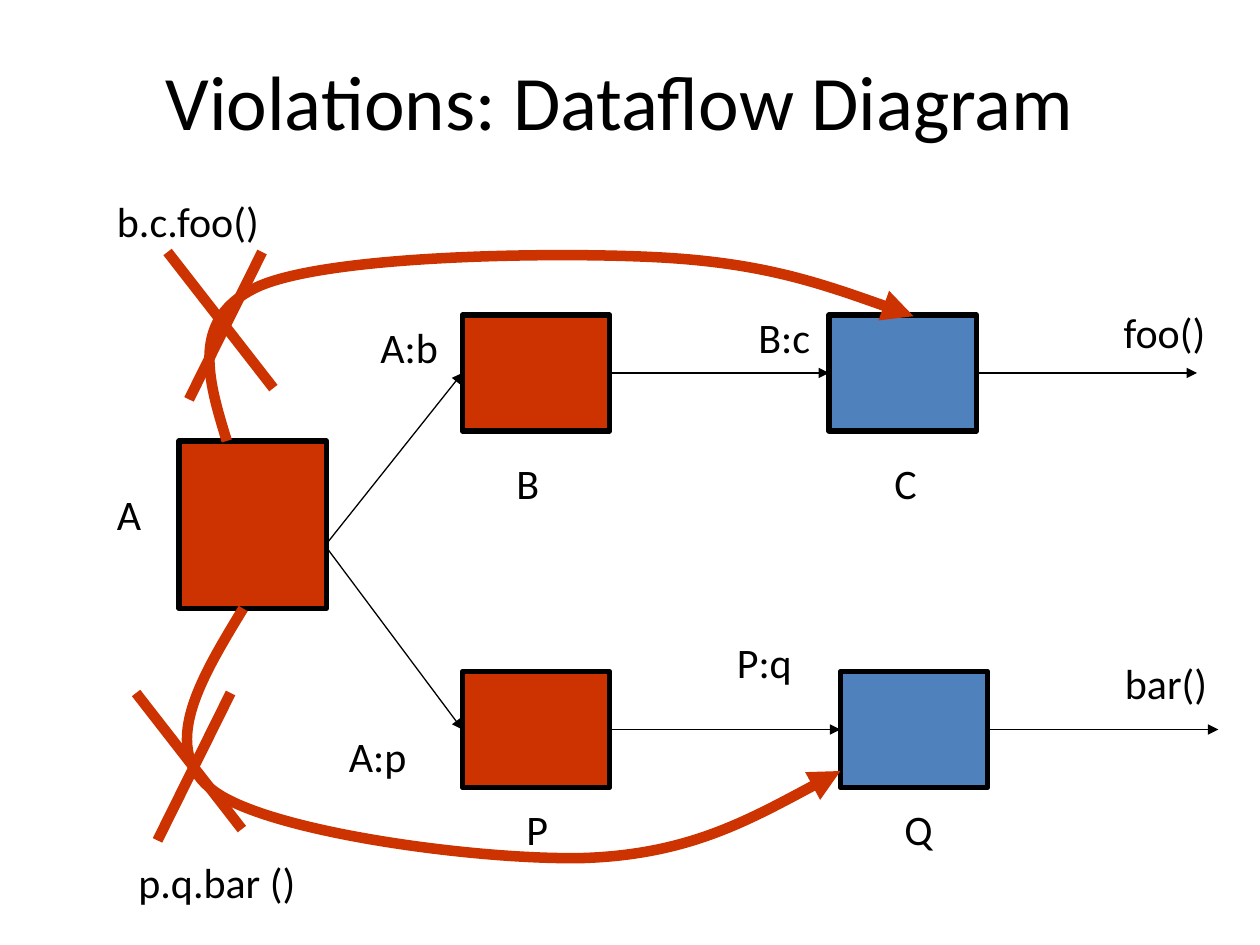
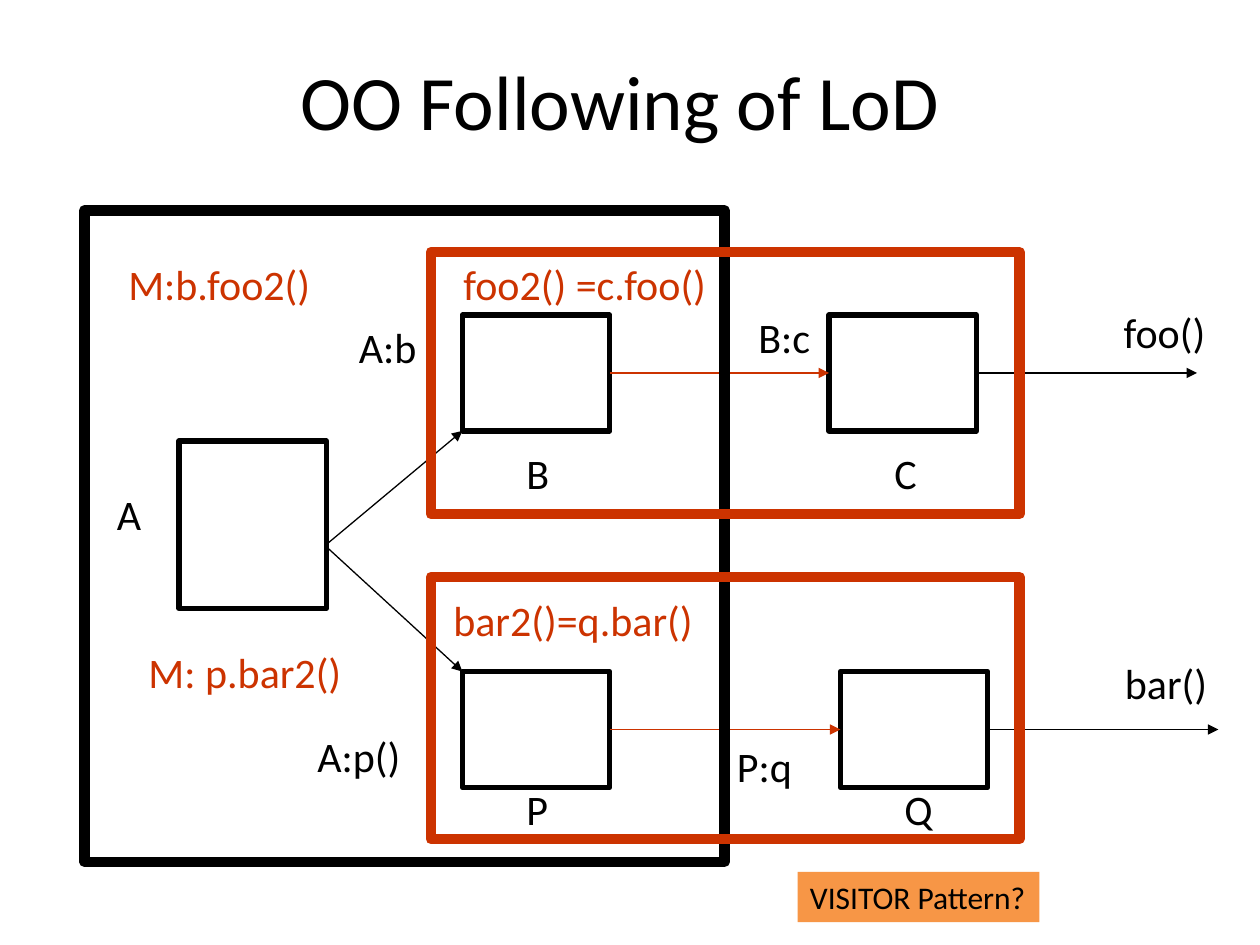
from dataclasses import dataclass
from typing import Optional

import pptx
import pptx.dml.color
import pptx.enum.shapes
import pptx.enum.text
import pptx.oxml
import pptx.oxml.ns
import pptx.util
from pptx.util import Inches

INK, RED, BLUE, AMBER = "000000", "CC3300", "4F81BD", "F79646"
FONT = "Calibri"
TOP, LEFT, RIGHT = 0, 1, 3
Point = tuple[float, float]


@dataclass
class Box:
    x: float
    y: float
    w: float = 1.17
    h: float = 0.92
    fill: Optional[str] = None
    line: str = INK
    width: float = 3

    @property
    def mid(self) -> float:
        return self.y + self.h / 2


@dataclass
class Label:
    text: str
    x: float
    y: float
    w: float
    color: str = INK
    size: float = 24
    h: float = 0.5
    fill: Optional[str] = None


# Parts both diagrams share
NODES = {
    "A": Box(1.42, 3.5, h=1.33),
    "P": Box(3.67, 5.33),
    "C": Box(6.58, 2.5),
    "Q": Box(6.67, 5.33),
    "B": Box(3.67, 2.5),
}
CHAINS = [("B", "C", 9.5), ("P", "Q", 9.67)]
FORK: Point = (2.58, 4.33)
SHARED = [
    Label("A", 0.83, 3.83, 0.4),
    Label("B:c", 5.92, 2.42, 0.62),
    Label("foo()", 8.82, 2.38, 0.86),
    Label("bar()", 8.83, 5.17, 0.86),
]


def rgb(color: str):
    return pptx.dml.color.RGBColor.from_string(color)


def paint(shape, fill: Optional[str]) -> None:
    if fill:
        shape.fill.solid()
        shape.fill.fore_color.rgb = rgb(fill)
    else:
        shape.fill.background()


def stroke(line, color: str, width: float, arrow: bool = False) -> None:
    line.color.rgb = rgb(color)
    line.width = pptx.util.Pt(width)
    if arrow:
        tail = pptx.oxml.parse_xml(
            f'<a:tailEnd {pptx.oxml.ns.nsdecls("a")} type="triangle"/>')
        line.fill  # the line properties exist once a colour is set
        line._get_or_add_ln().append(tail)


def write(para, text: str, size: float, color: str) -> None:
    run = para.add_run()
    run.text = text
    run.font.name = FONT
    run.font.size = pptx.util.Pt(size)
    run.font.color.rgb = rgb(color)


def add_box(slide, box: Box, fill: Optional[str] = None):
    shape = slide.shapes.add_shape(
        pptx.enum.shapes.MSO_SHAPE.RECTANGLE,
        Inches(box.x), Inches(box.y), Inches(box.w), Inches(box.h))
    shape.shadow.inherit = False
    paint(shape, fill or box.fill)
    stroke(shape.line, box.line, box.width)
    return shape


def add_label(slide, label: Label) -> None:
    shape = slide.shapes.add_textbox(
        Inches(label.x), Inches(label.y), Inches(label.w), Inches(label.h))
    paint(shape, label.fill)
    frame = shape.text_frame
    frame.word_wrap = label.fill is not None
    frame.auto_size = pptx.enum.text.MSO_AUTO_SIZE.SHAPE_TO_FIT_TEXT
    write(frame.paragraphs[0], label.text, label.size, label.color)


def add_line(slide, start: Point, end: Point, color: str = INK,
             width: float = 0.75, arrow: bool = True):
    link = slide.shapes.add_connector(
        pptx.enum.shapes.MSO_CONNECTOR.STRAIGHT,
        *(Inches(v) for v in (*start, *end)))
    stroke(link.line, color, width, arrow)
    link._element.spPr.append(pptx.oxml.parse_xml(
        f'<a:effectLst {pptx.oxml.ns.nsdecls("a")}/>'))
    return link


def add_cross(slide, x: float, y: float) -> None:
    for start, end in (((x, y), (x + 0.84, y + 1.08)),
                       ((x + 0.75, y), (x + 0.17, y + 1.17))):
        add_line(slide, start, end, RED, 6, arrow=False)


def add_curve(slide, points: list[Point]) -> None:
    """Draw a start point followed by cubic triples."""
    first, *rest = [(Inches(x), Inches(y)) for x, y in points]
    form = slide.shapes.build_freeform(*first)
    form.add_line_segments(rest, close=False)
    shape = form.convert_to_shape()
    shape.shadow.inherit = False
    paint(shape, None)
    stroke(shape.line, RED, 6, arrow=True)
    # Turn each three straight steps into one cubic step
    qn = pptx.oxml.ns.qn
    steps = list(shape._element.iter(qn("a:lnTo")))
    for i in range(0, len(steps), 3):
        cubic = pptx.oxml.parse_xml(
            f'<a:cubicBezTo {pptx.oxml.ns.nsdecls("a")}/>')
        steps[i].addprevious(cubic)
        for step in steps[i:i + 3]:
            cubic.append(step[0])
            step.getparent().remove(step)


def add_slide(deck, title: str):
    slide = deck.slides.add_slide(deck.slide_layouts[5])
    head = slide.shapes.title
    head.left, head.top = Inches(0.67), Inches(0.17)
    head.width, head.height = Inches(8.5), Inches(1.25)
    head.text_frame.vertical_anchor = pptx.enum.text.MSO_ANCHOR.MIDDLE
    para = head.text_frame.paragraphs[0]
    para.alignment = pptx.enum.text.PP_ALIGN.CENTER
    write(para, title, 44, INK)
    return slide


def add_graph(slide, fills: dict[str, str], color: str,
              tips: dict[str, Optional[Point]]) -> None:
    """Draw the nodes and arrows; a tip of None joins the node's left side."""
    parts = {name: add_box(slide, box, fills.get(name))
             for name, box in NODES.items()}
    for name, tip in tips.items():
        node = NODES[name]
        link = add_line(slide, FORK, tip or (node.x, node.mid))
        if tip is None:
            link.end_connect(parts[name], LEFT)
    for near, far, stop in CHAINS:
        one, two = NODES[near], NODES[far]
        link = add_line(slide, (one.x + one.w, one.mid), (two.x, two.mid), color)
        link.begin_connect(parts[near], RIGHT)
        link.end_connect(parts[far], LEFT)
        call = add_line(slide, (two.x + two.w, two.mid), (stop, two.mid))
        call.begin_connect(parts[far], RIGHT)


def add_labels(slide, labels: list[Label]) -> None:
    for label in SHARED + labels:
        add_label(slide, label)


def show_faults(deck) -> None:
    slide = add_slide(deck, "Violations: Dataflow Diagram")
    fills = {"A": RED, "B": RED, "P": RED, "C": BLUE, "Q": BLUE}
    add_graph(slide, fills, INK, {"B": None, "P": None})
    add_labels(slide, [
        Label("B", 4, 3.58, 0.38),
        Label("C", 7, 3.58, 0.38),
        Label("A:b", 2.92, 2.5, 0.66),
        Label("P", 4.08, 6.33, 0.38),
        Label("Q", 7.08, 6.33, 0.43),
        Label("A:p", 2.67, 5.75, 0.66),
        Label("P:q", 5.75, 5, 0.64),
    ])
    # Forbidden calls, crossed out
    add_curve(slide, [(1.8, 3.5), (1.65, 3.01), (1.5, 2.52), (2.06, 2.27),
                      (2.62, 2.03), (4.31, 2), (5.17, 2.04),
                      (6.04, 2.08), (6.64, 2.29), (7.25, 2.51)])
    add_curve(slide, [(1.93, 4.83), (1.59, 5.39), (1.25, 5.95), (1.7, 6.28),
                      (2.15, 6.61), (3.81, 6.83), (4.64, 6.81),
                      (5.46, 6.78), (6.06, 6.45), (6.67, 6.12)])
    add_cross(slide, 1.33, 2)
    add_cross(slide, 1.08, 5.5)
    add_label(slide, Label("b.c.foo()", 0.83, 1.5, 1.34))
    add_label(slide, Label("p.q.bar ()", 1, 6.75, 1.46))


def show_rule(deck) -> None:
    slide = add_slide(deck, "OO Following of LoD")
    add_graph(slide, {}, RED, {"B": (3.67, 3.42), "P": (3.67, 5.33)})
    add_labels(slide, [
        Label("B", 4.08, 3.5, 0.38),
        Label("C", 7, 3.5, 0.38),
        Label("A:b", 2.75, 2.5, 0.66),
        Label("P", 4.08, 6.17, 0.39),
        Label("Q", 7.08, 6.17, 0.44),
        Label("A:p()", 2.42, 5.75, 0.87),
        Label("P:q", 5.75, 5.83, 0.65),
    ])
    # Scope frames
    add_box(slide, Box(0.67, 1.67, 5.08, 5.17, width=6))
    for y in (2, 4.58):
        add_box(slide, Box(3.42, y, 4.67, 2.08, line=RED, width=6))
    # Methods that keep calls local
    for label in (
        Label("M:b.foo2()", 0.92, 2, 1.73, RED),
        Label("M: p.bar2()", 1.08, 5.08, 1.82, RED),
        Label("foo2() =c.foo()", 3.58, 2, 2.14, RED),
        Label("bar2()=q.bar()", 3.5, 4.67, 2.2, RED),
        Label("VISITOR Pattern?", 6.33, 6.92, 1.92, size=18, h=0.4, fill=AMBER),
    ):
        add_label(slide, label)


def main() -> None:
    deck = pptx.Presentation()
    deck.slide_width, deck.slide_height = Inches(10), Inches(7.5)
    show_faults(deck)
    show_rule(deck)
    deck.save("out.pptx")


if __name__ == "__main__":
    main()
